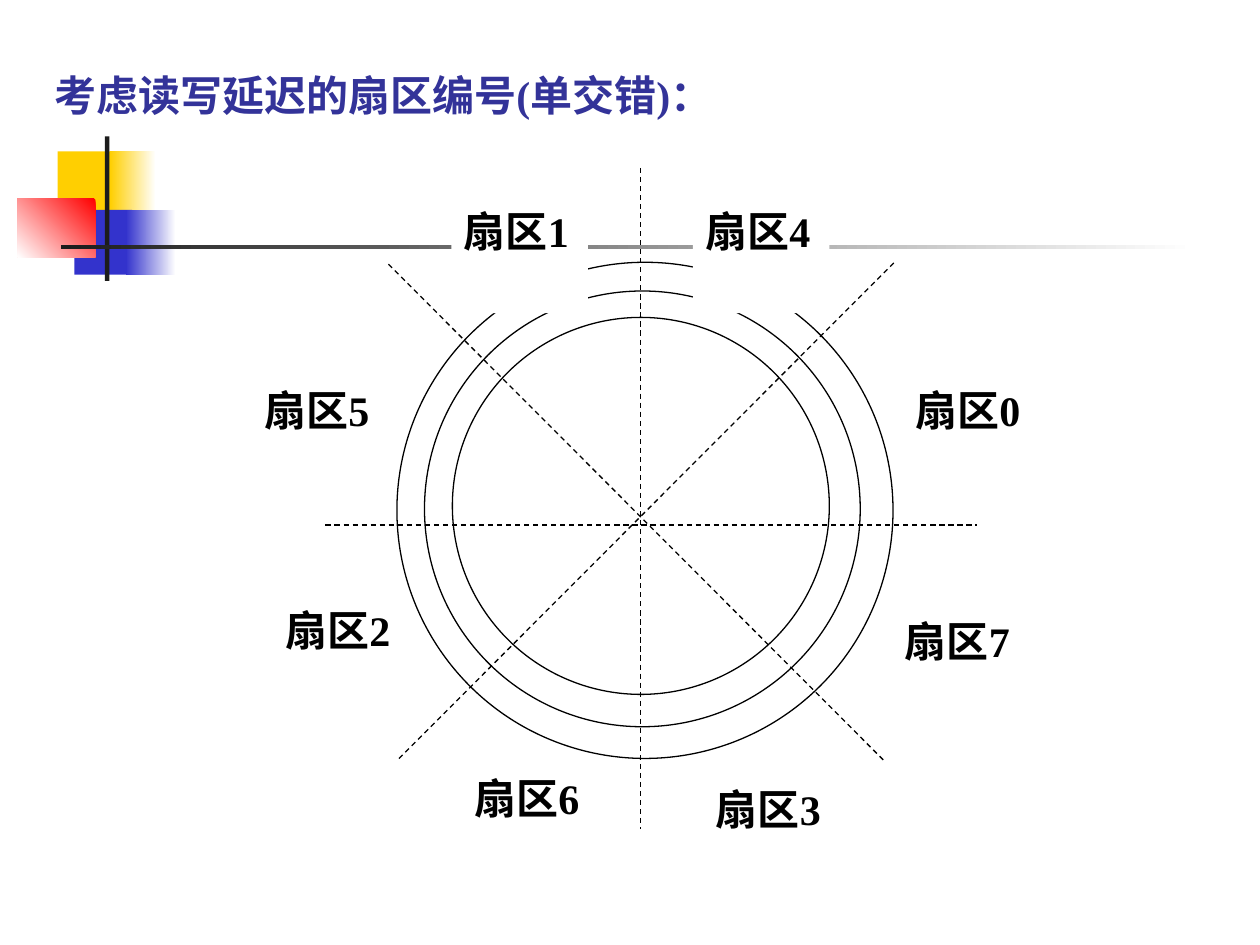
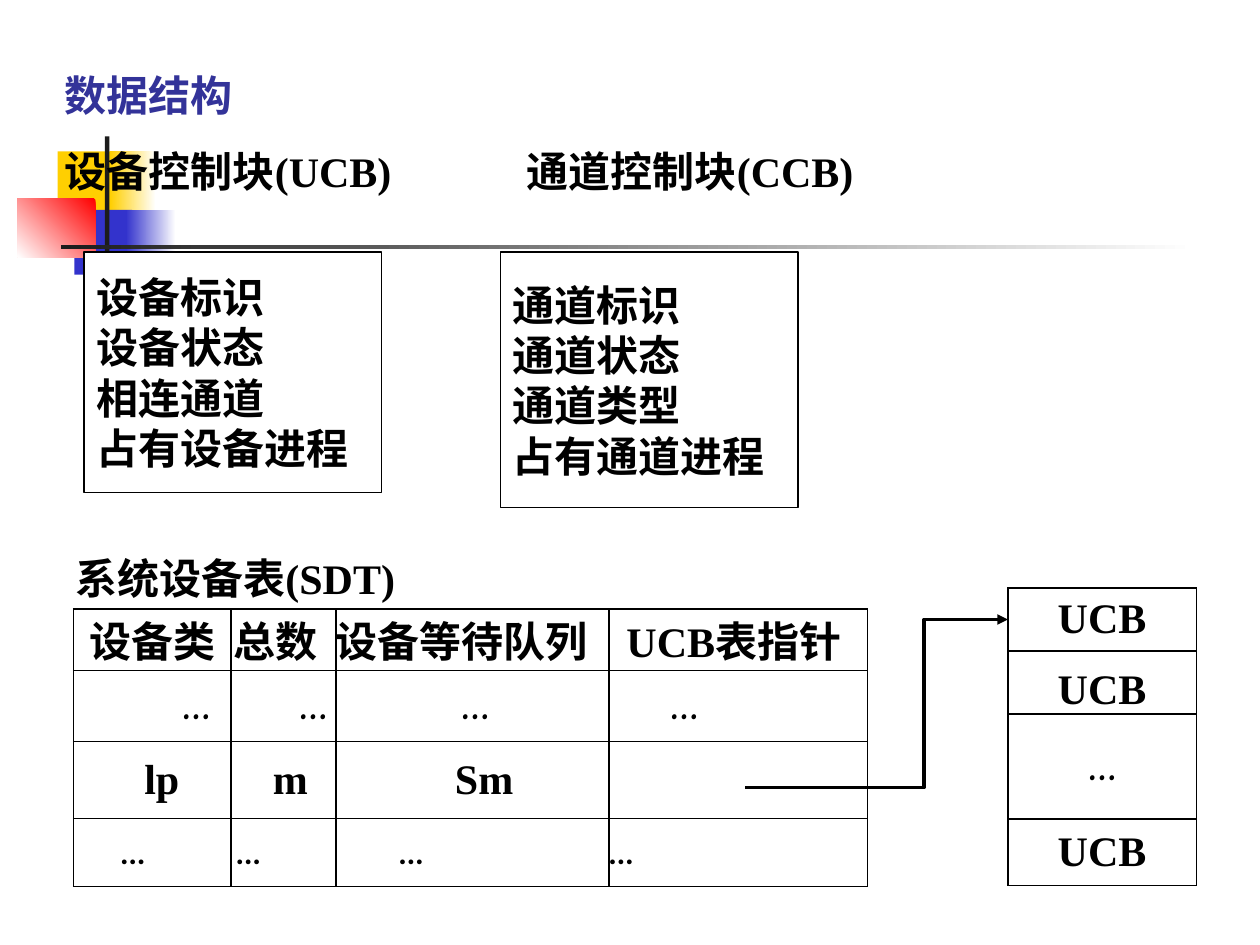
from dataclasses import dataclass
from itertools import accumulate

from lxml.etree import SubElement
from pptx import Presentation
from pptx.dml.color import RGBColor
from pptx.enum.dml import MSO_LINE
from pptx.enum.shapes import MSO_CONNECTOR, MSO_SHAPE
from pptx.enum.text import MSO_ANCHOR, PP_ALIGN
from pptx.oxml import parse_xml
from pptx.oxml.ns import nsdecls, qn
from pptx.util import Pt


@dataclass(frozen=True)
class Theme:
    ink: str = "000000"
    paper: str = "FFFFFF"
    title: str = "333399"
    yellow: str = "FFCF01"
    blue: str = "3333CC"
    red: str = "FF0000"
    charcoal: str = "1C1C1C"
    serif: str = "Times New Roman"
    dots: str = "Comic Neue"
    small_dots: str = "Lato"
    body_size: float = 24
    small_size: float = 18
    thin: float = 0.75
    thick: float = 2


@dataclass(frozen=True)
class Box:
    left: float
    top: float
    width: float
    height: float

    def inner(self, dx, dy, width, height):
        return Box(self.left + dx, self.top + dy, width, height)

    def lengths(self):
        return Pt(self.left), Pt(self.top), Pt(self.width), Pt(self.height)


THEME = Theme()


def rgb(value):
    return RGBColor.from_string(value)


def add_run(paragraph, text, color=THEME.ink, font=THEME.serif, size=THEME.body_size):
    run = paragraph.add_run()
    run.text = text
    run.font.name = font
    run.font.size = Pt(size)
    run.font.bold = True
    run.font.color.rgb = rgb(color)


def add_figure(slide, kind, box, fill=THEME.paper, outline=None):
    figure = slide.shapes.add_shape(kind, *box.lengths())
    figure.shadow.inherit = False
    figure.fill.solid()
    figure.fill.fore_color.rgb = rgb(fill)
    if outline:
        figure.line.color.rgb = rgb(outline)
        figure.line.width = Pt(THEME.thin)
    else:
        figure.line.fill.background()
    return figure


def fade(figure, start, end, angle):
    """Fill with a two-colour gradient; the angle runs counter-clockwise."""
    figure.fill.gradient()
    figure.fill.gradient_angle = angle
    for stop, color in zip(figure.fill.gradient_stops, (start, end)):
        stop.color.rgb = rgb(color)


def add_caption(slide, box, text, color=THEME.ink):
    caption = slide.shapes.add_textbox(*box.lengths())
    caption.text_frame.word_wrap = True
    add_run(caption.text_frame.paragraphs[0], text, color)
    return caption.text_frame


def add_title(slide, box, text):
    return add_caption(slide, box, text, THEME.title)


def add_ornament(slide, box):
    """Overlapping colour blocks with a crossing bar and a fading rule."""
    def block(color, *place):
        return add_figure(slide, MSO_SHAPE.RECTANGLE, box.inner(*place), color)

    block(THEME.yellow, 23, 8.5, 34.5, 37.5)
    fade(block(THEME.yellow, 53, 8.5, 26, 37.5), THEME.paper, THEME.yellow, 180)
    block(THEME.blue, 32.5, 42, 33, 37)
    fade(block(THEME.blue, 62, 42, 28.5, 37), THEME.paper, THEME.blue, 180)
    fade(block(THEME.red, 0, 35.5, 44.5, 33.5), THEME.red, THEME.paper, 225)
    block(THEME.charcoal, 50, 0, 2.5, 82.5)
    fade(block(THEME.charcoal, 25, 62, 648, 2.5), THEME.paper, THEME.charcoal, 180)


def add_sector_line(slide, start, end):
    line = slide.shapes.add_connector(
        MSO_CONNECTOR.STRAIGHT, *(Pt(value) for value in start + end))
    line.line.color.rgb = rgb(THEME.ink)
    line.line.width = Pt(THEME.thin)
    line.line.dash_style = MSO_LINE.DASH
    SubElement(line._element.spPr, qn("a:effectLst"))


def add_disk(slide, box):
    tracks = [(40.8, 53.9, 283.5), (56.6, 70.3, 249), (72.5, 85.4, 215.4)]
    for dx, dy, diameter in tracks:
        add_figure(slide, MSO_SHAPE.OVAL, box.inner(dx, dy, diameter, diameter),
                   outline=THEME.ink)

    sector_lines = [((36, 55), (319.5, 339)), ((42, 337.5), (325, 54)),
                    ((180, 0), (180, 378)), ((0, 204), (372, 204))]
    for ends in sector_lines:
        add_sector_line(slide, *((box.left + x, box.top + y) for x, y in ends))

    sectors = {0: (330, 120), 7: (324, 252), 3: (216, 348), 6: (78, 342),
               2: (-30, 246), 5: (-42, 120), 1: (72, 18), 4: (210, 18)}
    for number, (dx, dy) in sectors.items():
        label = add_figure(slide, MSO_SHAPE.RECTANGLE, box.inner(dx, dy, 78, 65))
        label.text_frame.word_wrap = True
        label.text_frame.vertical_anchor = MSO_ANCHOR.TOP
        paragraph = label.text_frame.paragraphs[0]
        paragraph.alignment = PP_ALIGN.LEFT
        add_run(paragraph, f"扇区{number}")


def add_block_names(frame, left_name, right_name, tab_at):
    names = frame.add_paragraph()
    names.space_before = Pt(15)
    tabs = SubElement(names._p.get_or_add_pPr(), qn("a:tabLst"))
    SubElement(tabs, qn("a:tab"), pos=str(Pt(tab_at)), algn="l")
    add_run(names, f"{left_name}\t{right_name}")


def add_control_block(slide, box, fields):
    block = add_figure(slide, MSO_SHAPE.RECTANGLE, box, outline=THEME.ink)
    frame = block.text_frame
    frame.word_wrap = False
    frame.vertical_anchor = MSO_ANCHOR.MIDDLE
    for index, field in enumerate(fields):
        paragraph = frame.add_paragraph() if index else frame.paragraphs[0]
        paragraph.alignment = PP_ALIGN.LEFT
        add_run(paragraph, field)


def style_cell(cell, indent=0, anchor=MSO_ANCHOR.MIDDLE):
    cell.margin_left = Pt(indent)
    cell.margin_right = cell.margin_top = cell.margin_bottom = 0
    cell.vertical_anchor = anchor
    cell.fill.solid()
    cell.fill.fore_color.rgb = rgb(THEME.paper)
    properties = cell._tc.get_or_add_tcPr()
    for index, side in enumerate("LRTB"):
        properties.insert(index, parse_xml(
            f'<a:ln{side} {nsdecls("a")} w="{Pt(THEME.thin)}"><a:solidFill>'
            f'<a:srgbClr val="{THEME.ink}"/></a:solidFill></a:ln{side}>'))


def add_plain_table(slide, box, widths, heights):
    table = slide.shapes.add_table(len(heights), len(widths), *box.lengths()).table
    table.first_row = table.horz_banding = False
    for column, width in zip(table.columns, widths):
        column.width = Pt(width)
    for row, height in zip(table.rows, heights):
        row.height = Pt(height)
    return table


def add_system_device_table(slide, box):
    """Rows hold (text, left indent) pairs, followed by their font and size."""
    rows = [
        ([("设备类", 9), ("总数", 1.5), ("设备等待队列", 0), ("UCB表指针", 10)],
         THEME.serif, THEME.body_size),
        ([("…", 62), ("…", 39), ("…", 72), ("…", 35)],
         THEME.dots, THEME.body_size),
        ([("lp", 40.5), ("m", 24), ("Sm", 68), ("", 0)],
         THEME.serif, THEME.body_size),
        ([("…", 27), ("…", 3), ("…", 36), ("…", 0)],
         THEME.small_dots, THEME.small_size),
    ]
    table = add_plain_table(slide, box, (90, 60, 156, box.width - 306),
                            (35, 40.5, 44.5, box.height - 120))
    for row, (entries, font, size) in zip(table.rows, rows):
        for cell, (text, indent) in zip(row.cells, entries):
            style_cell(cell, indent)
            if text:
                add_run(cell.text_frame.paragraphs[0], text, font=font, size=size)


def add_ucb_list(slide, box):
    entries = [("UCB", MSO_ANCHOR.MIDDLE), ("UCB", MSO_ANCHOR.BOTTOM),
               ("…", MSO_ANCHOR.MIDDLE), ("UCB", MSO_ANCHOR.MIDDLE)]
    table = add_plain_table(slide, box, (box.width,), (36, 36, 60, box.height - 132))
    for row, (text, anchor) in zip(table.rows, entries):
        cell = row.cells[0]
        style_cell(cell, anchor=anchor)
        paragraph = cell.text_frame.paragraphs[0]
        paragraph.alignment = PP_ALIGN.CENTER
        add_run(paragraph, text, font=THEME.dots if text == "…" else THEME.serif)


def add_pointer(slide, box, turn):
    """Stepped arrow from the bottom left to the top right of the box."""
    bottom, right = box.top + box.height, box.left + box.width
    bend = box.left + turn
    builder = slide.shapes.build_freeform(Pt(box.left), Pt(bottom))
    corners = [(bend, bottom), (bend, box.top), (right, box.top)]
    builder.add_line_segments([(Pt(x), Pt(y)) for x, y in corners], close=False)
    pointer = builder.convert_to_shape()
    pointer.shadow.inherit = False
    pointer.fill.background()
    pointer.line.color.rgb = rgb(THEME.ink)
    pointer.line.width = Pt(THEME.thick)
    SubElement(pointer.line._get_or_add_ln(), qn("a:tailEnd"), type="triangle")


def build_sector_slide(slide):
    add_disk(slide, Box(186, 96, 372, 378))
    add_title(slide, Box(24, 36, 624, 36), "考虑读写延迟的扇区编号(单交错)：")


def build_structure_slide(slide):
    heading = add_title(slide, Box(30, 36, 672, 80), "数据结构")
    add_block_names(heading, "设备控制块(UCB)", "通道控制块(CCB)", 264)
    add_control_block(slide, Box(48, 144, 170, 137.5),
                      ["设备标识", "设备状态", "相连通道", "占有设备进程"])
    add_control_block(slide, Box(286, 144, 170, 146),
                      ["通道标识", "通道状态", "通道类型", "占有通道进程"])
    add_caption(slide, Box(36, 312, 240, 36), "系统设备表(SDT)")
    add_system_device_table(slide, Box(42, 348, 453.5, 158.5))
    add_ucb_list(slide, Box(576, 336, 107.5, 170))
    add_pointer(slide, Box(426, 354, 150, 96), 102)


def main():
    deck = Presentation()
    deck.slide_width, deck.slide_height = Pt(720), Pt(540)
    for build in (build_sector_slide, build_structure_slide):
        slide = deck.slides.add_slide(deck.slide_layouts[6])
        add_ornament(slide, Box(10, 78, 673, 82.5))
        build(slide)
    deck.save("out.pptx")


if __name__ == "__main__":
    main()
